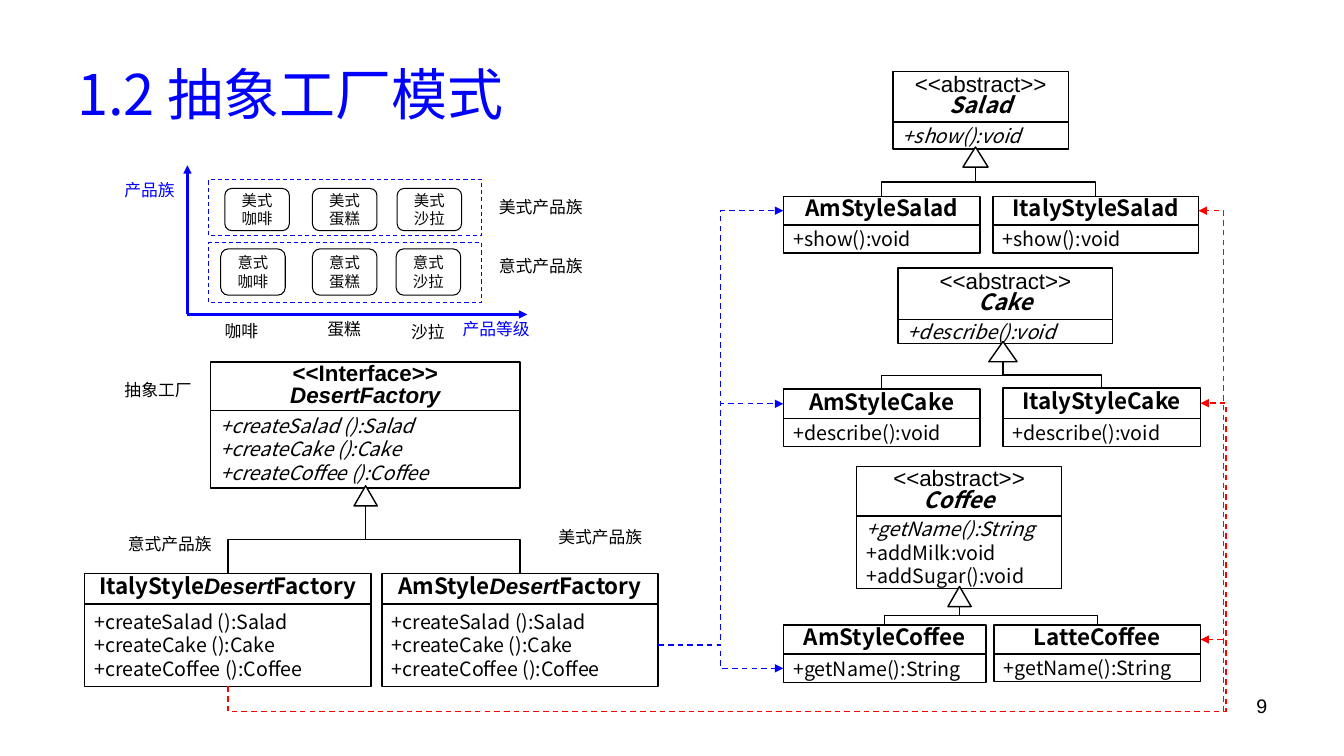
"""Builds a slide with the abstract factory pattern as a class diagram."""
from lxml.etree import SubElement
from pptx import Presentation
from pptx.dml.color import RGBColor
from pptx.enum.dml import MSO_LINE
from pptx.enum.shapes import MSO_CONNECTOR as LINK, MSO_SHAPE as SHAPE
from pptx.enum.text import MSO_ANCHOR as ANCHOR, PP_ALIGN as ALIGN
from pptx.oxml.ns import qn
from pptx.util import Pt

COLORS = {"black": "000000", "ink": "080808", "white": "FFFFFF", "blue": "0000FF", "red": "FF0000"}
NOTO, ARIAL = "Noto Sans CJK SC", "Arial"


def color(name):
    return RGBColor.from_string(COLORS[name])


def format_span(span, size, tint, font=NOTO, style=""):
    span.font.size = Pt(size)
    span.font.bold = "b" in style
    span.font.italic = "i" in style
    span.font.color.rgb = color(tint)
    span.font.name = font
    SubElement(span._r.get_or_add_rPr(), qn("a:ea")).set("typeface", font)


def write(box, lines, size, tint="black", align=ALIGN.LEFT, leading=1.2):
    """Each line is a list of (text, font, style) spans."""
    frame = box.text_frame
    frame.word_wrap = True
    for index, line in enumerate(lines):
        para = frame.paragraphs[0] if index == 0 else frame.add_paragraph()
        para.alignment = align
        para.line_spacing = Pt(round(size * leading, 1))
        for text, font, style in line:
            span = para.add_run()
            span.text = text
            format_span(span, size, tint, font, style)


def draw_line(line, tint, width, dashed=False):
    line.color.rgb = color(tint)
    line.width = Pt(width)
    if dashed:
        line.dash_style = MSO_LINE.DASH


def add_box(page, kind, left, top, width, height, tint="black", weight=1, filled=True):
    box = page.shapes.add_shape(kind, Pt(left), Pt(top), Pt(width), Pt(height))
    box.shadow.inherit = False
    box.text_frame.vertical_anchor = ANCHOR.MIDDLE
    if filled:
        box.fill.solid()
        box.fill.fore_color.rgb = color("white")
    else:
        box.fill.background()
    draw_line(box.line, tint, weight, dashed=not filled)
    return box


def add_label(page, text, left, top, width, tint="black", align=ALIGN.LEFT):
    box = page.shapes.add_textbox(Pt(left), Pt(top), Pt(width), Pt(21.6))
    write(box, [[(text, NOTO, "")]], 12, tint, align)


def add_class(page, left, top, width, heights, name, methods):
    """Returns the name compartment and the method compartment."""
    head_height, body_height = heights
    head = add_box(page, SHAPE.RECTANGLE, left, top, width, head_height)
    write(head, name, 16, align=ALIGN.CENTER, leading=0.96)
    body = add_box(page, SHAPE.RECTANGLE, left, top + head_height, width, body_height)
    write(body, [[(text, NOTO, style)] for text, style in methods], 14)
    return head, body


def add_link(page, kind, start, end, tint="black", width=1, dashed=False, arrow=False):
    link = page.shapes.add_connector(kind, *(Pt(value) for value in (*start, *end)))
    draw_line(link.line, tint, width, dashed)
    if arrow:
        SubElement(link.line._get_or_add_ln(), qn("a:tailEnd")).set("type", "triangle")
    SubElement(link._element.spPr, qn("a:effectLst"))
    return link


def add_rising_elbow(page, start, end, **look):
    """Elbow that leaves its start vertically, drawn as a turned connector."""
    (x1, y1), (x2, y2) = start, end
    rise, run = y1 - y2, abs(x2 - x1)
    left, top = (x1 + x2 - rise) / 2, (y1 + y2 - run) / 2
    link = add_link(page, LINK.ELBOW, (left, top), (left + rise, top + run), **look)
    xfrm = link._element.spPr.find(qn("a:xfrm"))
    xfrm.set("rot", "5400000" if x2 > x1 else "16200000")
    xfrm.set("flipV", "1")
    if x2 > x1:
        xfrm.set("flipH", "1")
    return link


def add_detour(page, start, end, drop, overshoot):
    """Red arrow that dips below its start and returns from the right."""
    link = add_rising_elbow(page, start, end, tint="red", dashed=True, arrow=True)
    geometry = link._element.spPr.find(qn("a:prstGeom"))
    geometry.set("prst", "bentConnector4")
    guides = geometry.find(qn("a:avLst"))
    shares = (-drop / (start[1] - end[1]), 1 + overshoot / (end[0] - start[0]))
    for number, share in enumerate(shares, 1):
        guide = SubElement(guides, qn("a:gd"))
        guide.set("name", f"adj{number}")
        guide.set("fmla", f"val {round(share * 100000)}")


def center_x(box):
    return (box.left + box.width / 2) / Pt(1)


def center_y(box):
    return (box.top + box.height / 2) / Pt(1)


def right(box):
    return (box.left + box.width) / Pt(1)


def bottom(box):
    return (box.top + box.height) / Pt(1)


def add_inheritance(page, parent, children, tip_x, width):
    top, height = bottom(parent[1]) - 1.5, 14.4
    add_box(page, SHAPE.ISOSCELES_TRIANGLE, tip_x - width / 2, top, width, height)
    for head, _ in children:
        add_rising_elbow(page, (center_x(head), head.top.pt), (tip_x, top + height))


def add_product(page, parent, american, italian, tip_x, arrow_width):
    """Each class is (name, methods, left, top, width, heights)."""
    name, methods, *place = parent
    title = [[("<<abstract>>", ARIAL, "")], [(name, NOTO, "bi")]]
    base = add_class(page, *place, title, methods)
    children = [add_class(page, *place, [[(name, NOTO, "b")]], methods)
                for name, methods, *place in (american, italian)]
    add_inheritance(page, base, children, tip_x, arrow_width)
    return children


def add_factories(page):
    calls = ("+createSalad ():Salad", "+createCake ():Cake", "+createCoffee ():Coffee")
    title = [[("<<Interface>>", ARIAL, "b")], [("DesertFactory", ARIAL, "bi")]]
    base = add_class(page, 150.5, 258.5, 221, (34.6, 55.4), title, [(call, "i") for call in calls])
    factories = []
    for style, left, width in (("ItalyStyle", 60.5, 204.5), ("AmStyle", 272.9, 197.3)):
        name = [[(style, NOTO, "b"), ("Desert", ARIAL, "bi"), ("Factory", NOTO, "b")]]
        factories.append(add_class(page, left, 409.7, width, (21.6, 59),
                                   name, [(call, "") for call in calls]))
    add_inheritance(page, base, factories, 261.2, 16.6)
    return factories


def add_products(page):
    show, describe, get_name = "+show():void", "+describe():void", "+getName():String"
    salad = add_product(
        page, ("Salad", [(show, "i")], 637.9, 51.1, 125.3, (36, 19.4)),
        ("AmStyleSalad", [(show, "")], 559.5, 140.4, 140.4, (20.2, 20.2)),
        ("ItalyStyleSalad", [(show, "")], 709.2, 140.4, 146.9, (20.2, 20.2)), 696.8, 18)
    cake = add_product(
        page, ("Cake", [(describe, "i")], 641.5, 191.5, 153.4, (36.7, 17.3)),
        ("AmStyleCake", [(describe, "")], 559.5, 278, 140.4, (20.9, 20.2)),
        ("ItalyStyleCake", [(describe, "")], 716.4, 277.2, 141.1, (21.6, 20.2)), 716.4, 20.2)
    coffee_methods = [(get_name, "i"), ("+addMilk:void", ""), ("+addSugar():void", "")]
    coffee = add_product(
        page, ("Coffee", coffee_methods, 612, 333.4, 146.2, (35.2, 51.8)),
        ("AmStyleCoffee", [(get_name, "")], 559.5, 446.4, 144.7, (20.9, 20.2)),
        ("LatteCoffee", [(get_name, "")], 710, 446.4, 147.6, (20.9, 19.4)), 685.4, 16.6)
    return salad, cake, coffee


def add_creations(page, factories, products):
    (_, italian_body), (_, american_body) = factories
    salad, cake, coffee = products
    for target in (salad[0][0], cake[0][0], coffee[0][1]):
        add_link(page, LINK.ELBOW, (right(american_body), center_y(american_body)),
                 (target.left.pt, center_y(target)), "blue", dashed=True, arrow=True)
    for _, (head, _) in (coffee, cake, salad):
        add_detour(page, (center_x(italian_body), bottom(italian_body)),
                   (right(head), center_y(head)), 18, 18)


def add_family_chart(page):
    origin = (133.9, 224.6)
    for end in ((133.9, 118.1), (376.6, 224.6)):
        add_link(page, LINK.STRAIGHT, origin, end, "blue", 1.75, arrow=True)
    families = (("美式", 134.6, 30.2, (160.6, 223.2, 283.7), 128.2, 40.3, 136.8),
                ("意式", 177.8, 33.1, (157.7, 223.2, 283), 173.5, 42.5, 179.3))
    for family, top, height, lefts, frame_top, frame_height, label_top in families:
        for product, left in zip(("咖啡", "蛋糕", "沙拉"), lefts):
            box = add_box(page, SHAPE.ROUNDED_RECTANGLE, left, top, 46.1, height, weight=0.75)
            write(box, [[(family, NOTO, "")], [(product, NOTO, "")]], 11, "ink", ALIGN.CENTER)
        add_box(page, SHAPE.RECTANGLE, 149, frame_top, 195.1, frame_height, "blue", 0.75, False)
        add_label(page, family + "产品族", 349.2, label_top, 78.5)
    for product, left, top in (("咖啡", 153.4, 225.4), ("蛋糕", 226.8, 223.9), ("沙拉", 286.6, 226.1)):
        add_label(page, product, left, top, 46)
    add_label(page, "产品等级", 323.3, 223.9, 77.8, "blue")
    add_label(page, "产品族", 75.6, 124.6, 56.2, "blue", ALIGN.RIGHT)


def add_title(page, text):
    title = page.shapes.title
    title.left, title.top, title.width, title.height = Pt(48), Pt(21.6), Pt(864), Pt(90)
    title.text_frame.text = text
    title.text_frame.vertical_anchor = ANCHOR.MIDDLE
    para = title.text_frame.paragraphs[0]
    para.alignment = ALIGN.LEFT
    format_span(para.runs[0], 40, "blue")


def main():
    deck = Presentation()
    deck.slide_width, deck.slide_height = Pt(960), Pt(540)
    page = deck.slides.add_slide(deck.slide_layouts[5])
    add_title(page, "1.2 抽象工厂模式")
    number = page.shapes.add_textbox(Pt(688.3), Pt(491.8), Pt(223.9), Pt(37.4))
    write(number, [[("9", ARIAL, "")]], 14, align=ALIGN.RIGHT)
    products = add_products(page)
    factories = add_factories(page)
    add_creations(page, factories, products)
    add_family_chart(page)
    add_label(page, "美式产品族", 391.7, 373, 78.5)
    add_label(page, "意式产品族", 84.2, 378, 78.5)
    add_label(page, "抽象工厂", 72, 267.8, 72, align=ALIGN.RIGHT)
    deck.save("out.pptx")


if __name__ == "__main__":
    main()
